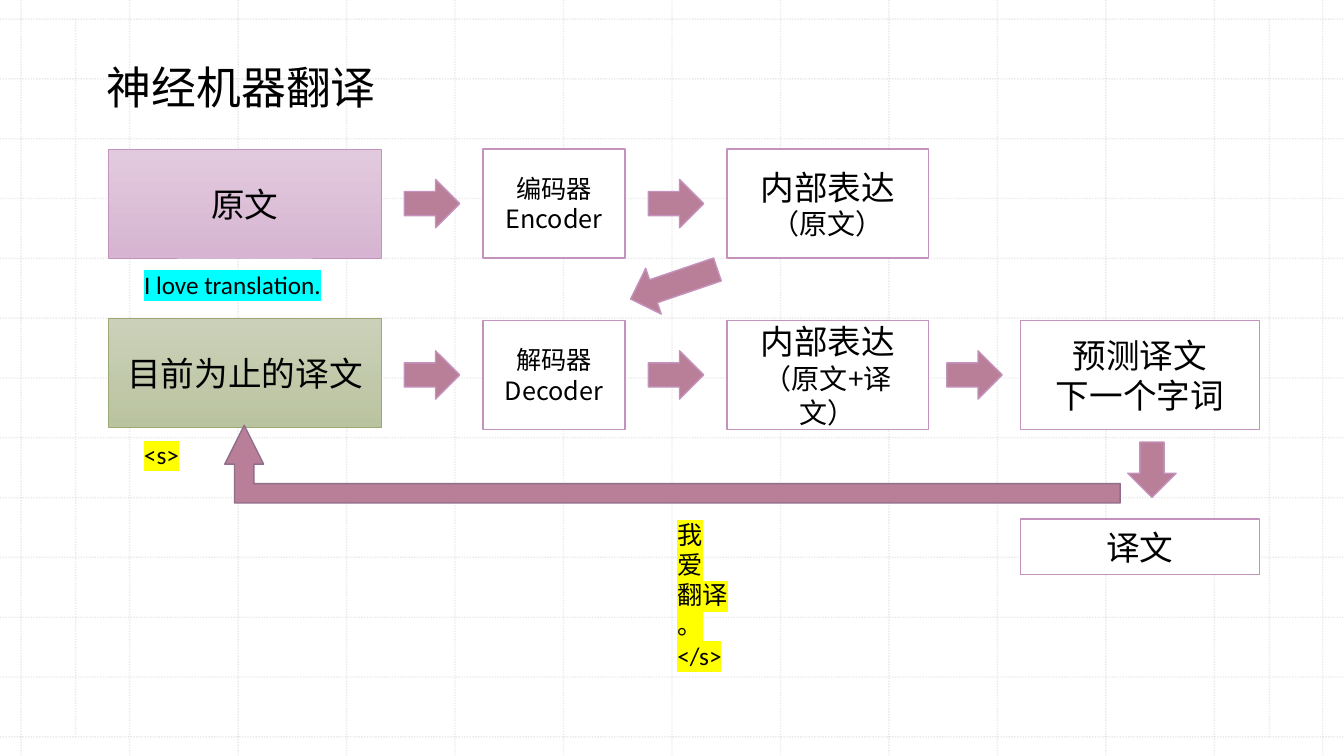
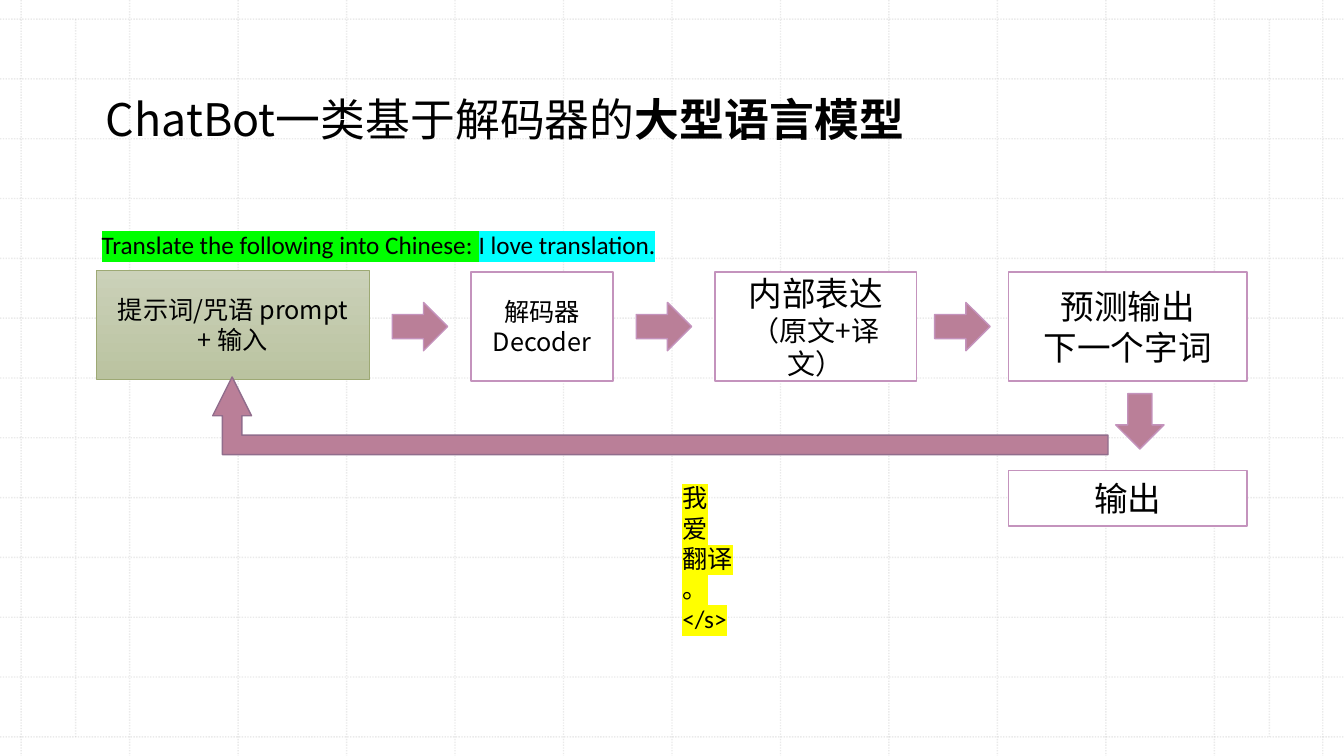
from dataclasses import dataclass

from lxml import etree
from pptx import Presentation
from pptx import util as u
from pptx.dml import color
from pptx.enum import dml, shapes, text
from pptx.oxml import ns


@dataclass(frozen=True)
class Theme:
    font: str = "Noto Sans CJK TC"
    label_font: str = "Calibri"
    ink: str = "000000"
    paper: str = "FFFFFF"
    grid: str = "BCBCBC"
    arrow: str = "BA7F98"
    arrow_line: str = "C493BD"
    feedback_line: str = "916D8C"
    pink: tuple = ("E2CADE", "D7B5D2", "C493BD")
    green: tuple = ("CBD1B9", "BAC3A0", "9DA974")
    cyan: str = "00FFFF"
    yellow: str = "FFFF00"
    lime: str = "00FF00"
    title: int = 32
    large: int = 24
    medium: int = 20
    small: int = 18


THEME = Theme()
WIDTH, HEIGHT = 13.33, 7.5
SOURCE, CODER, STATE, PREDICT = (1.08, 2.7), (4.79, 1.41), (7.21, 2), (10.12, 2.37)
BOX_HEIGHT = 1.08
ARROW_WIDTH, ARROW_HEIGHT = 0.55, 0.48
TOKENS = ["我", "爱", "翻译", "。", "</s>"]


def rgb(value):
    return color.RGBColor.from_string(value)


def inches(*values):
    return [u.Inches(value) for value in values]


def add_span(para, words, size, font=THEME.font, bold=None, highlight=None):
    span = para.add_run()
    span.text = words
    span.font.size = u.Pt(size)
    span.font.bold = bold
    span.font.color.rgb = rgb(THEME.ink)
    span.font.name = font
    latin = span.font._element.find(ns.qn("a:latin"))
    east_asian = etree.Element(ns.qn("a:ea"), typeface=font)
    latin.addnext(east_asian)
    if highlight:
        mark = etree.Element(ns.qn("a:highlight"))
        etree.SubElement(mark, ns.qn("a:srgbClr"), val=highlight)
        latin.addprevious(mark)


def paragraphs(frame, count):
    yield frame.paragraphs[0]
    for _ in range(count - 1):
        yield frame.add_paragraph()


def add_title(page, place, *spans):
    title = page.shapes.title
    title.left, title.top, title.width, title.height = inches(*place)
    frame = title.text_frame
    frame.auto_size = text.MSO_AUTO_SIZE.NONE
    frame.word_wrap = True
    frame.vertical_anchor = text.MSO_ANCHOR.MIDDLE
    para = frame.paragraphs[0]
    para.alignment = text.PP_ALIGN.LEFT
    for words, bold in spans:
        add_span(para, words, THEME.title, bold=bold)


def add_label(page, place, *lines):
    frame = page.shapes.add_textbox(*inches(*place)).text_frame
    frame.word_wrap = True
    for para, spans in zip(paragraphs(frame, len(lines)), lines):
        for words, highlight in spans:
            add_span(para, words, THEME.small, THEME.label_font, highlight=highlight)


def add_tokens(page, left, top):
    add_label(page, (left, top, 0.8, 1.62), *[[(token, THEME.yellow)] for token in TOKENS])


def add_box(page, column, top, *lines, height=BOX_HEIGHT, tint=None):
    left, width = column
    box = page.shapes.add_shape(shapes.MSO_SHAPE.RECTANGLE, *inches(left, top, width, height))
    box.shadow.inherit = False
    if tint:
        box.fill.gradient()
        box.fill.gradient_angle = 270
        for stop, shade in zip(box.fill.gradient_stops, tint):
            stop.color.rgb = rgb(shade)
    else:
        box.fill.solid()
        box.fill.fore_color.rgb = rgb(THEME.paper)
    box.line.color.rgb = rgb(tint[2] if tint else THEME.arrow_line)
    box.line.width = u.Pt(0.5 if tint else 1)
    frame = box.text_frame
    frame.word_wrap = True
    frame.vertical_anchor = text.MSO_ANCHOR.MIDDLE
    for para, (words, size) in zip(paragraphs(frame, len(lines)), lines):
        para.alignment = text.PP_ALIGN.CENTER
        add_span(para, words, size)


def add_arrow(page, left, top, width=ARROW_WIDTH, height=ARROW_HEIGHT, turn=0,
              kind=shapes.MSO_SHAPE.RIGHT_ARROW, outline=THEME.arrow_line):
    arrow = page.shapes.add_shape(kind, *inches(left, top, width, height))
    arrow.rotation = turn
    arrow.shadow.inherit = False
    arrow.fill.solid()
    arrow.fill.fore_color.rgb = rgb(THEME.arrow)
    arrow.line.color.rgb = rgb(outline)
    arrow.line.width = u.Pt(1)
    return arrow


def add_row_arrows(page, top, columns, shift=0):
    for (left, width), (following, _) in zip(columns, columns[1:]):
        middle = (left + width + following) / 2 + shift
        add_arrow(page, middle - ARROW_WIDTH / 2, top + (BOX_HEIGHT - ARROW_HEIGHT) / 2)


def add_decoder_loop(page, top, shift, source_lines, goal, result):
    columns = [SOURCE, CODER, STATE, PREDICT]
    source, coder, state, predict = [(left + shift, width) for left, width in columns]
    add_box(page, coder, top, ("解码器", THEME.small), ("Decoder", THEME.small))
    add_box(page, state, top, ("内部表达", THEME.large), ("（原文+译文）", THEME.medium))
    add_box(page, predict, top, (goal, THEME.large), ("下一个字词", THEME.large))
    add_box(page, source, top - 0.02, *source_lines, tint=THEME.green)
    add_row_arrows(page, top, columns, shift)
    add_box(page, predict, top + 1.97, (result, THEME.large), height=0.55)
    add_arrow(page, 11.15 + shift, top + 1.24, turn=90)
    feedback = add_arrow(page, 2.23 + shift, top + 1.04, 8.88, 0.77,
                         kind=shapes.MSO_SHAPE.BENT_UP_ARROW, outline=THEME.feedback_line)
    feedback.adjustments[2] = 0.5
    feedback._element.spPr.find(ns.qn("a:xfrm")).set("flipH", "1")


def add_grid(deck, page):
    first, last, upper, lower, count = 0.21, 13.12, 0.19, 7.31, 12
    columns = [first + (last - first) * step / count for step in range(count + 1)]
    rows = [upper + (lower - upper) * step / count for step in range(count + 1)]
    lines = [(left, 0, left, HEIGHT) for left in columns]
    lines += [(0, top, WIDTH, top) for top in rows]
    lines += [(left, upper, left, lower) for left in (0.75, 12.59)]
    master_tree = deck.slide_master.shapes.element
    for ends in lines:
        line = page.shapes.add_connector(shapes.MSO_CONNECTOR.STRAIGHT, *inches(*ends))
        line.line.color.rgb = rgb(THEME.grid)
        line.line.width = u.Pt(1)
        line.line.dash_style = dml.MSO_LINE.ROUND_DOT
        properties = line._element.spPr
        shade = properties.find(".//" + ns.qn("a:srgbClr"))
        etree.SubElement(shade, ns.qn("a:alpha"), val="30000")
        etree.SubElement(properties, ns.qn("a:effectLst"))
        master_tree.append(line._element)


def build_translation(page):
    add_title(page, (0.96, 0.54, 2.92, 0.64), ("神经机器翻译", None))
    top = 1.48
    add_box(page, SOURCE, top, ("原文", THEME.large), tint=THEME.pink)
    add_box(page, CODER, top, ("编码器", THEME.small), ("Encoder", THEME.small))
    add_box(page, STATE, top, ("内部表达", THEME.large), ("（原文）", THEME.medium))
    add_row_arrows(page, top, [SOURCE, CODER, STATE])
    add_arrow(page, 6.23, 2.58, width=0.91, turn=161.2)
    add_decoder_loop(page, 3.18, 0, [("目前为止的译文", THEME.large)], "预测译文", "译文")
    add_label(page, (1.33, 2.62, 2.19, 0.4), [("I love translation.", THEME.cyan)])
    add_label(page, (1.33, 4.31, 0.6, 0.4), [("<s>", THEME.yellow)])
    add_tokens(page, 6.62, 5.1)


def build_language_model(page):
    add_title(page, (0.95, 0.86, 8.35, 0.64),
              ("ChatBot一类基于解码器的", None), ("大型语言模型", True))
    prompt = [("提示词/咒语 prompt", THEME.small), ("+ 输入", THEME.small)]
    add_decoder_loop(page, 2.7, -0.12, prompt, "预测输出", "输出")
    add_label(page, (0.91, 2.23, 6.4, 0.4),
              [("Translate the following into Chinese: ", THEME.lime),
               ("I love translation.", THEME.cyan)])
    add_tokens(page, 6.67, 4.74)


def main():
    deck = Presentation()
    deck.slide_width, deck.slide_height = inches(WIDTH, HEIGHT)
    title_only = deck.slide_layouts[5]
    pages = [deck.slides.add_slide(title_only) for _ in range(2)]
    add_grid(deck, pages[0])
    build_translation(pages[0])
    build_language_model(pages[1])
    deck.save("out.pptx")


if __name__ == "__main__":
    main()
